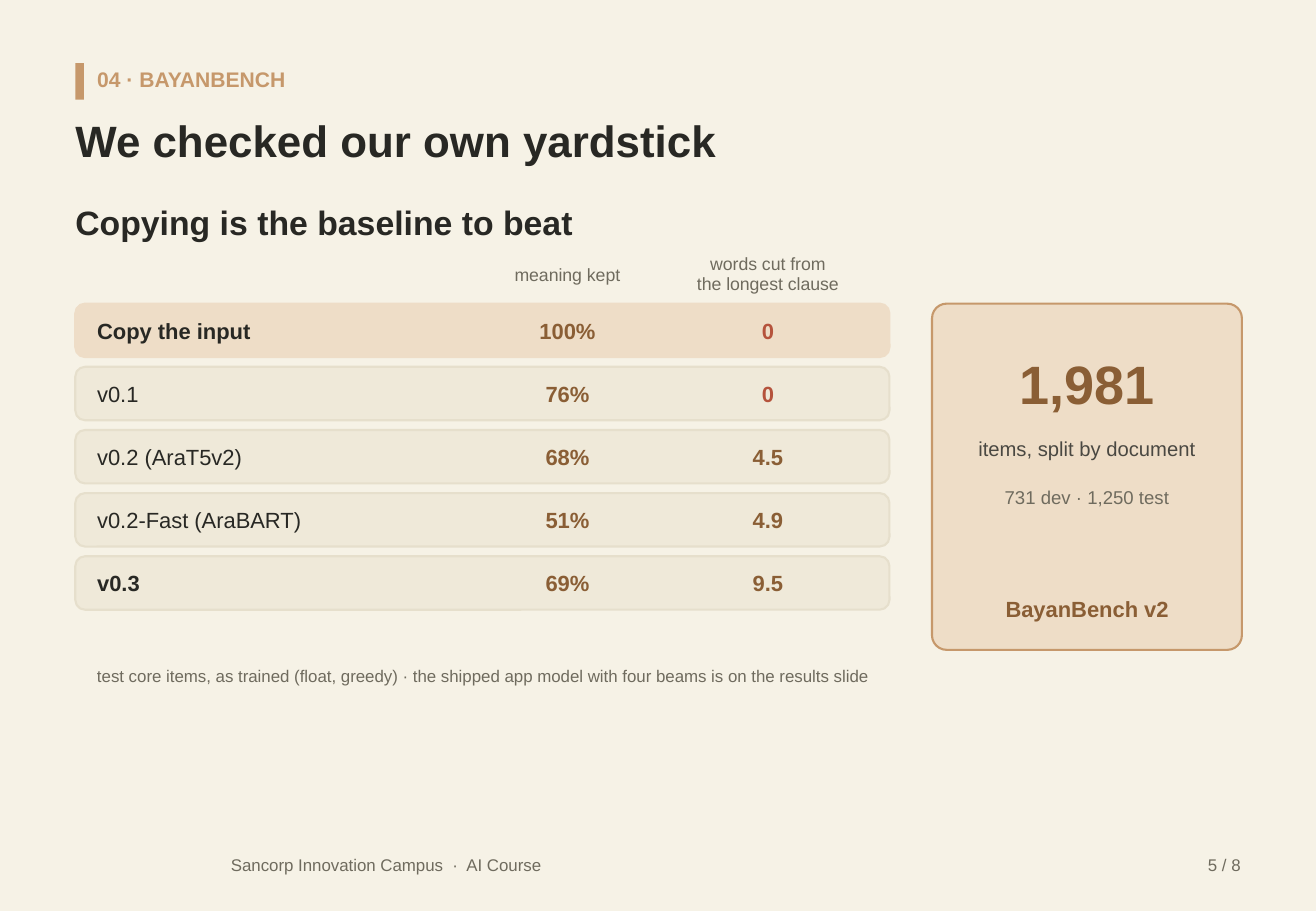
from dataclasses import dataclass

from pptx import Presentation
from pptx import util as u
from pptx.dml.color import RGBColor
from pptx.enum import shapes, text
from pptx.shapes.autoshape import Shape
from pptx.slide import Slide

PX = 9144  # EMU in one px, 100 px to the inch
LEFT, CENTER, RIGHT = text.PP_ALIGN.LEFT, text.PP_ALIGN.CENTER, text.PP_ALIGN.RIGHT


@dataclass(frozen=True)
class Theme:
    font: str = "Arial"
    paper: str = "F6F2E6"
    row: str = "EFE9D9"
    row_edge: str = "E6DFCC"
    highlight: str = "EEDDC7"
    accent: str = "C6986B"
    ink: str = "282824"
    soft_ink: str = "4A4842"
    muted: str = "6F6B5E"
    value: str = "8A5E35"
    alert: str = "B5533C"
    big_number: float = 32
    title: float = 26
    heading: float = 20
    body: float = 13
    eyebrow: float = 12.5
    caption: float = 12
    detail: float = 11
    column: float = 10.5
    note: float = 10


@dataclass(frozen=True)
class Area:
    x: int
    y: int
    width: int
    height: int

    def emu(self) -> tuple[int, int, int, int]:
        return self.x * PX, self.y * PX, self.width * PX, self.height * PX


@dataclass(frozen=True)
class Label:
    words: str
    area: Area
    size: float
    color: str
    bold: bool = False
    align: text.PP_ALIGN = LEFT
    spacing: float | None = None


@dataclass(frozen=True)
class Result:
    name: str
    kept: str
    cut: str
    bold: bool = False
    highlighted: bool = False


THEME = Theme()
MARGIN, TEXT_LEFT = 62, 80
KEPT_LEFT, KEPT_WIDTH = 402, 130
CUT_LEFT, CUT_WIDTH = 547, 170
ROW_TOP, ROW_STEP, ROW_WIDTH, ROW_HEIGHT = 250, 52, 670, 44
CARD = Area(767, 250, 255, 285)
CORNER = 8 / ROW_HEIGHT
CARD_CORNER = 12 / CARD.width

RESULTS = [
    Result("Copy the input", "100%", "0", bold=True, highlighted=True),
    Result("v0.1", "76%", "0"),
    Result("v0.2 (AraT5v2)", "68%", "4.5"),
    Result("v0.2-Fast (AraBART)", "51%", "4.9"),
    Result("v0.3", "69%", "9.5", bold=True),
]


def card_area(top: int, height: int) -> Area:
    return Area(CARD.x, CARD.y + top, CARD.width, height)


FRAME_LABELS = [
    Label("04 · BAYANBENCH", Area(TEXT_LEFT, 48, 939, 34), THEME.eyebrow, THEME.accent, True),
    Label("We checked our own yardstick", Area(MARGIN, 88, 959, 55), THEME.title, THEME.ink, True),
    Label("Sancorp Innovation Campus  ·  AI Course", Area(190, 698, 420, 28), THEME.note, THEME.muted),
    Label("5 / 8", Area(921, 698, 100, 28), THEME.note, THEME.muted, align=RIGHT),
]
TABLE_LABELS = [
    Label("Copying is the baseline to beat", Area(MARGIN, 162, 660, 42), THEME.heading, THEME.ink, True),
    Label("meaning kept", Area(KEPT_LEFT, 212, KEPT_WIDTH, 28), THEME.column, THEME.muted, align=CENTER),
    Label("words cut from\nthe longest clause", Area(CUT_LEFT, 212, CUT_WIDTH, 28),
          THEME.column, THEME.muted, align=CENTER, spacing=0.95),
    Label("test core items, as trained (float, greedy) · the shipped app model with four beams "
          "is on the results slide", Area(MARGIN, 535, ROW_WIDTH, 42), THEME.note, THEME.muted, align=CENTER),
]
CARD_LABELS = [
    Label("1,981", card_area(35, 60), THEME.big_number, THEME.value, True, CENTER),
    Label("items, split by document", card_area(105, 28), THEME.caption, THEME.soft_ink, align=CENTER),
    Label("731 dev · 1,250 test", card_area(145, 28), THEME.detail, THEME.muted, align=CENTER),
    Label("BayanBench v2", card_area(235, 32), THEME.body, THEME.value, True, CENTER),
]


def rgb(color: str) -> RGBColor:
    return RGBColor.from_string(color)


def add_block(page: Slide, kind: shapes.MSO_SHAPE, area: Area, fill: str) -> Shape:
    block = page.shapes.add_shape(kind, *area.emu())
    block.shadow.inherit = False
    block.fill.solid()
    block.fill.fore_color.rgb = rgb(fill)
    block.line.fill.background()
    return block


def add_panel(page: Slide, area: Area, fill: str, edge: str, corner: float) -> None:
    """Add an outlined rounded rectangle; corner is a share of its shorter side."""
    panel = add_block(page, shapes.MSO_SHAPE.ROUNDED_RECTANGLE, area, fill)
    panel.adjustments[0] = corner
    panel.line.color.rgb = rgb(edge)
    panel.line.width = u.Pt(1.25)


def add_label(page: Slide, label: Label) -> None:
    frame = page.shapes.add_textbox(*label.area.emu()).text_frame
    frame.margin_left = frame.margin_top = frame.margin_right = frame.margin_bottom = 0
    frame.word_wrap = True
    frame.auto_size = text.MSO_AUTO_SIZE.SHAPE_TO_FIT_TEXT
    frame.vertical_anchor = text.MSO_ANCHOR.MIDDLE
    frame.text = label.words
    for para in frame.paragraphs:
        para.alignment = label.align
        if label.spacing:
            para.line_spacing = label.spacing
        for span in para.runs:
            span.font.name = THEME.font
            span.font.size = u.Pt(label.size)
            span.font.bold = label.bold
            span.font.color.rgb = rgb(label.color)


def add_labels(page: Slide, labels: list[Label]) -> None:
    for label in labels:
        add_label(page, label)


def add_result(page: Slide, result: Result, top: int) -> None:
    fill = THEME.highlight if result.highlighted else THEME.row
    edge = THEME.highlight if result.highlighted else THEME.row_edge
    add_panel(page, Area(MARGIN, top, ROW_WIDTH, ROW_HEIGHT), fill, edge, CORNER)
    cut_color = THEME.alert if result.cut == "0" else THEME.value
    y, height = top + 6, ROW_HEIGHT - 12
    add_labels(page, [
        Label(result.name, Area(TEXT_LEFT, y, 310, height), THEME.body, THEME.ink, result.bold),
        Label(result.kept, Area(KEPT_LEFT, y, KEPT_WIDTH, height), THEME.body, THEME.value, True, CENTER),
        Label(result.cut, Area(CUT_LEFT, y, CUT_WIDTH, height), THEME.body, cut_color, True, CENTER),
    ])


def main() -> None:
    deck = Presentation()
    deck.slide_width, deck.slide_height = 1083 * PX, 750 * PX
    page = deck.slides.add_slide(deck.slide_layouts[6])
    page.background.fill.solid()
    page.background.fill.fore_color.rgb = rgb(THEME.paper)

    add_block(page, shapes.MSO_SHAPE.RECTANGLE, Area(MARGIN, 52, 7, 30), THEME.accent)
    add_labels(page, FRAME_LABELS)
    add_labels(page, TABLE_LABELS)
    for index, result in enumerate(RESULTS):
        add_result(page, result, ROW_TOP + index * ROW_STEP)
    add_panel(page, CARD, THEME.highlight, THEME.accent, CARD_CORNER)
    add_labels(page, CARD_LABELS)
    deck.save("out.pptx")


if __name__ == "__main__":
    main()
